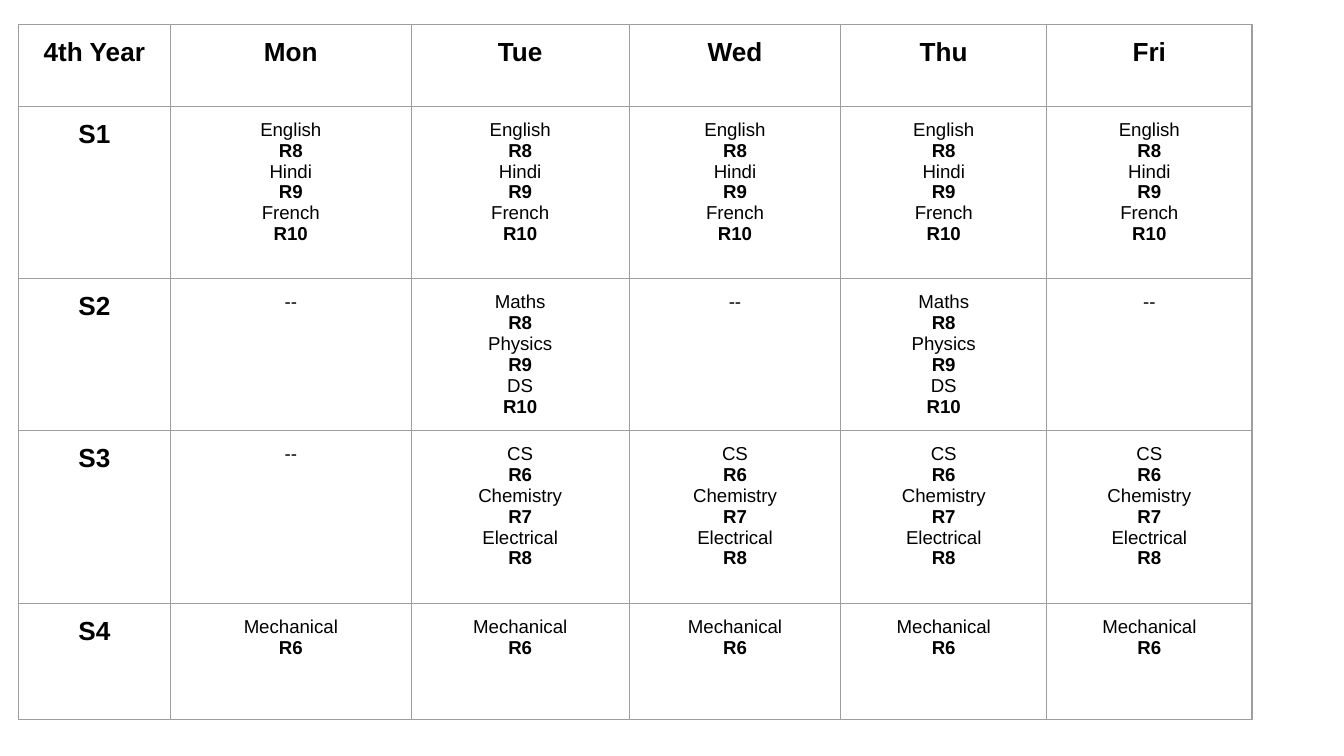
from dataclasses import dataclass

from lxml.etree import SubElement
from pptx import Presentation
from pptx.dml.color import RGBColor
from pptx.enum.text import PP_ALIGN as Align
from pptx.oxml.ns import qn
from pptx.util import Cm, Pt


@dataclass(frozen=True)
class Theme:
    font: str = "Arial"
    text: RGBColor = RGBColor(0, 0, 0)
    border: str = "9E9E9E"
    border_width: int = Pt(0.75)
    heading_size: int = Pt(14)
    body_size: int = Pt(10)
    inset: int = Cm(0.25)


def add_borders(cell, theme):
    properties = cell._tc.get_or_add_tcPr()
    for position, side in enumerate(("a:lnL", "a:lnR", "a:lnT", "a:lnB")):
        line = SubElement(properties, qn(side), w=str(theme.border_width))
        fill = SubElement(line, qn("a:solidFill"))
        SubElement(fill, qn("a:srgbClr"), val=theme.border)
        properties.remove(line)
        properties.insert(position, line)


theme = Theme()
languages = ["English", "R8", "Hindi", "R9", "French", "R10"]
sciences = ["Maths", "R8", "Physics", "R9", "DS", "R10"]
electives = ["CS", "R6", "Chemistry", "R7", "Electrical", "R8"]
mechanical = ["Mechanical", "R6"]
free = ["--"]

timetable = [
    [["4th Year"], ["Mon"], ["Tue"], ["Wed"], ["Thu"], ["Fri"]],
    [["S1"]] + [languages] * 5,
    [["S2"], free, sciences, free, sciences, free],
    [["S3"], free] + [electives] * 4,
    [["S4"]] + [mechanical] * 5,
]
column_widths = [2.87, 4.55, 4.12, 4, 3.89, 3.88]
row_heights = [1.55, 3.26, 2.87, 3.27, 2.19]

presentation = Presentation()
presentation.slide_width = Cm(25.4)
presentation.slide_height = Cm(14.29)
slide = presentation.slides.add_slide(presentation.slide_layouts[6])

table = slide.shapes.add_table(
    len(row_heights), len(column_widths), Cm(0.35), Cm(0.46),
    Cm(sum(column_widths)), Cm(sum(row_heights)),
).table
table.first_row = False
table.horz_banding = False
for column, width in zip(table.columns, column_widths):
    column.width = Cm(width)
for row, height in zip(table.rows, row_heights):
    row.height = Cm(height)

for row_index, lessons in enumerate(timetable):
    for column_index, lines in enumerate(lessons):
        cell = table.cell(row_index, column_index)
        cell.fill.background()
        cell.margin_left = cell.margin_right = theme.inset
        cell.margin_top = cell.margin_bottom = theme.inset
        add_borders(cell, theme)
        cell.text_frame.text = "\n".join(lines)
        is_heading = row_index == 0 or column_index == 0
        for line_index, paragraph in enumerate(cell.text_frame.paragraphs):
            paragraph.alignment = Align.CENTER
            font = paragraph.runs[0].font
            font.name = theme.font
            font.size = theme.heading_size if is_heading else theme.body_size
            font.bold = is_heading or line_index % 2 == 1
            font.color.rgb = theme.text

presentation.save("out.pptx")
